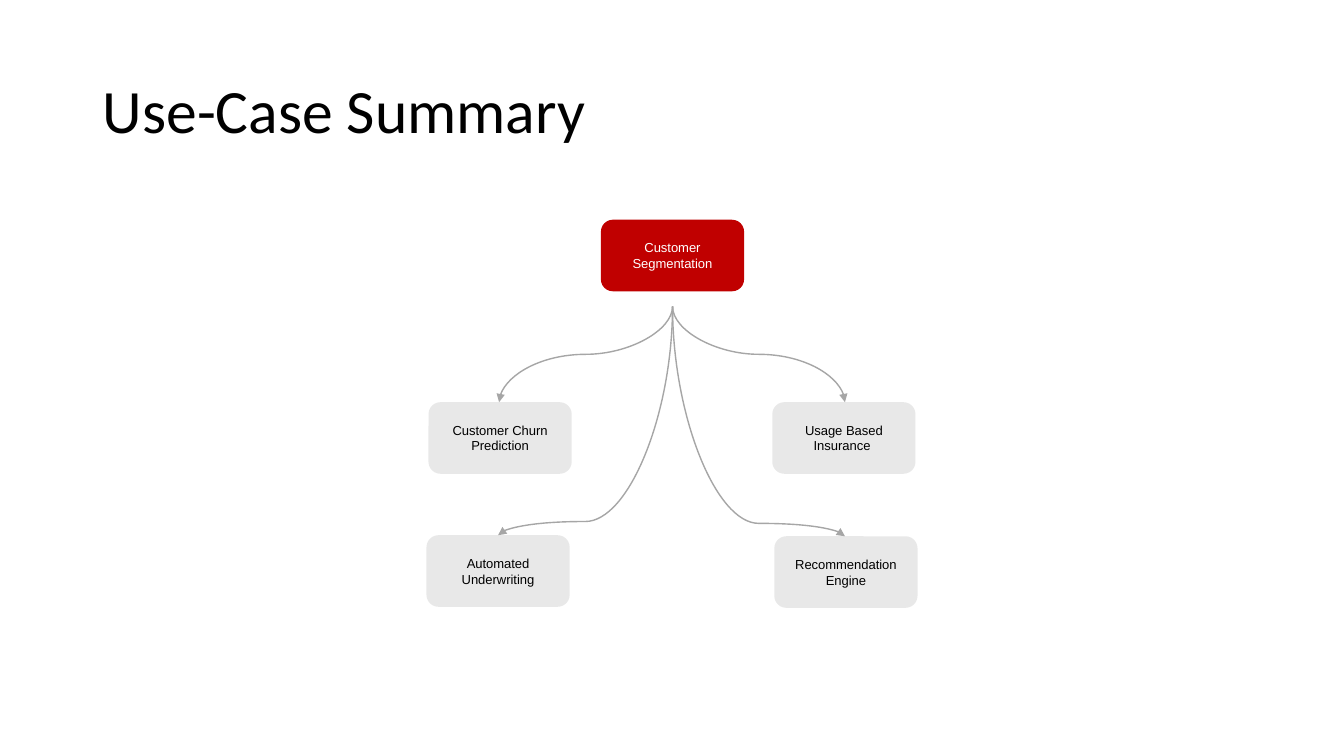
"""Build the use-case summary slide: one root use case with four dependants."""
from lxml import etree
from pptx import Presentation
from pptx.dml.color import RGBColor
from pptx.enum.shapes import MSO_CONNECTOR, MSO_SHAPE
from pptx.enum.text import MSO_ANCHOR, MSO_AUTO_SIZE, PP_ALIGN
from pptx.oxml.ns import qn
from pptx.util import Inches, Pt

CURVE, ROUNDED = MSO_CONNECTOR.CURVE, MSO_SHAPE.ROUNDED_RECTANGLE
MIDDLE, NO_FIT = MSO_ANCHOR.MIDDLE, MSO_AUTO_SIZE.NONE
LEFT, CENTER = PP_ALIGN.LEFT, PP_ALIGN.CENTER
COLORS = {"root": "C00000", "leaf": "E8E8E8", "arrow": "A6A6A6",
          "dark": "000000", "light": "FFFFFF"}
BOX_W, BOX_H = 1.42, 0.71
CENTER_X, ROOT_Y, FORK_Y = 6.67, 2.18, 3.04


def write(sp, text, size=9.3, font="Arial", color="dark", align=CENTER, spacing=1.0):
    tf = sp.text_frame
    tf.word_wrap = True
    tf.auto_size = NO_FIT
    tf.vertical_anchor = MIDDLE
    p = tf.paragraphs[0]
    p.alignment = align
    p.line_spacing = spacing
    r = p.add_run()
    r.text = text
    r.font.size = Pt(size)
    r.font.name = font
    r.font.color.rgb = RGBColor.from_string(COLORS[color])


prs = Presentation()
prs.slide_width, prs.slide_height = Inches(13.33), Inches(7.5)
s = prs.slides.add_slide(prs.slide_layouts[5])

title = s.shapes.title
title.left, title.top = Inches(0.92), Inches(0.4)
title.width, title.height = Inches(11.5), Inches(1.45)
write(title, "Use-Case Summary", size=44, font="Calibri", align=LEFT, spacing=0.9)

boxes = [
    ("Customer Segmentation", CENTER_X - BOX_W / 2, ROOT_Y, "root", "light"),
    ("Customer Churn Prediction", 4.25, 3.99, "leaf", "dark"),
    ("Usage Based Insurance ", 7.66, 3.99, "leaf", "dark"),
    ("Automated Underwriting", 4.23, 5.31, "leaf", "dark"),
    ("Recommendation Engine", 7.68, 5.32, "leaf", "dark"),
]
for text, x, y, fill, color in boxes:
    sp = s.shapes.add_shape(ROUNDED, Inches(x), Inches(y), Inches(BOX_W), Inches(BOX_H))
    sp.shadow.inherit = False
    sp.fill.solid()
    sp.fill.fore_color.rgb = RGBColor.from_string(COLORS[fill])
    sp.line.fill.background()
    write(sp, text, color=color)

arrows = [(4.95, 3.99, 50000), (4.94, 5.31, 94000), (8.38, 5.32, 94400), (8.38, 3.99, 50000)]
for x, y, bend in arrows:
    mid_x, mid_y = (CENTER_X + x) / 2, (FORK_Y + y) / 2
    half_w, half_h = abs(x - CENTER_X) / 2, (y - FORK_Y) / 2
    side = 1 if x > CENTER_X else -1
    cxn = s.shapes.add_connector(
        CURVE, Inches(mid_x + side * half_h), Inches(mid_y - half_w),
        Inches(mid_x - side * half_h), Inches(mid_y + half_w))
    cxn.line.color.rgb = RGBColor.from_string(COLORS["arrow"])
    cxn.line.width = Pt(1)
    pr = cxn._element.spPr
    pr.find(qn("a:xfrm")).set("rot", str((180 + side * 90) * 60000))
    guides = pr.find(qn("a:prstGeom")).find(qn("a:avLst"))
    etree.SubElement(guides, qn("a:gd"), name="adj1", fmla=f"val {bend}")
    etree.SubElement(pr.find(qn("a:ln")), qn("a:tailEnd"), type="triangle")
    etree.SubElement(pr, qn("a:effectLst"))

prs.save("out.pptx")
